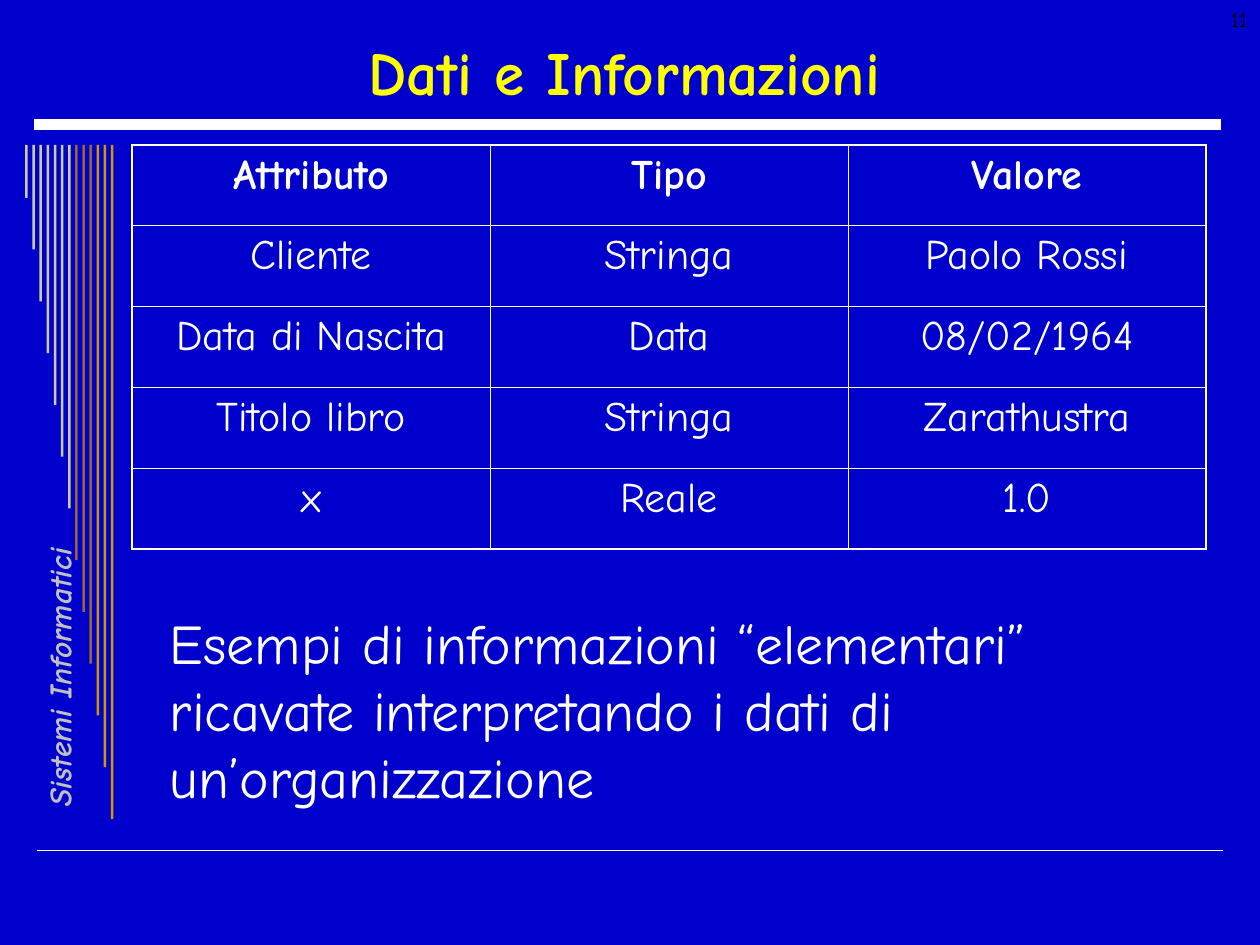
from dataclasses import dataclass

from lxml.etree import SubElement
from pptx import Presentation
from pptx.dml.color import RGBColor
from pptx.enum.shapes import MSO_CONNECTOR as Connector, MSO_SHAPE as Shape
from pptx.enum.text import MSO_ANCHOR as Anchor, PP_ALIGN as Align
from pptx.oxml import parse_xml
from pptx.oxml.ns import nsdecls, qn
from pptx.util import Inches, Pt


@dataclass(frozen=True)
class Theme:
    font: str = "Comic Neue"
    background: str = "0000CC"
    text: str = "FFFFFF"
    title: str = "FFFF00"
    course: str = "C0C0C0"
    number: str = "000000"
    sand: str = "CCCC99"
    brown: str = "996633"
    gold: str = "CC9900"
    title_size: float = 35
    body_size: float = 32
    table_size: float = 24
    course_size: float = 18
    number_size: float = 12
    outer_border: float = 1.08
    inner_border: float = 0.45


THEME = Theme()

ROWS = [
    ("Attributo", "Tipo", "Valore"),
    ("Cliente", "Stringa", "Paolo Rossi"),
    ("Data di Nascita", "Data", "08/02/1964"),
    ("Titolo libro", "Stringa", "Zarathustra"),
    ("x", "Reale", "1.0"),
]


def rgb(color):
    return RGBColor.from_string(color)


def write(frame, text, size, color, align=Align.LEFT, **styles):
    para = frame.paragraphs[0]
    para.alignment = align
    span = para.add_run()
    span.text = text
    formats = {"name": THEME.font, "size": Pt(size), **styles}
    for name, value in formats.items():
        setattr(span.font, name, value)
    span.font.color.rgb = rgb(color)


def add_text(page, bounds, text, size, color, wrap=True, anchor=Anchor.TOP,
             rotation=0, **styles):
    box = page.shapes.add_textbox(*map(Inches, bounds))
    box.rotation = rotation
    box.text_frame.word_wrap = wrap
    box.text_frame.vertical_anchor = anchor
    write(box.text_frame, text, size, color, **styles)


def add_rule(page, left, right, top, weight):
    rule = page.shapes.add_connector(
        Connector.STRAIGHT, *map(Inches, (left, top, right, top)))
    rule.line.color.rgb = rgb(THEME.text)
    rule.line.width = Pt(weight)
    SubElement(rule._element.spPr, qn("a:effectLst"))


def add_stripes(page):
    """Draw the hanging stripes, each one longer than the one to its left."""
    colors = [THEME.sand] * 7 + [THEME.brown] * 3 + [THEME.gold] * 3
    last = len(colors) - 1
    pitch = (0.88 - 0.2) / last
    growth = (5.35 - 0.42) / last
    group = page.shapes.add_group_shape()
    for index, color in enumerate(colors):
        bounds = (0.2 + pitch * index, 1.15, 0.02, 0.42 + growth * index)
        stripe = group.shapes.add_shape(Shape.RECTANGLE, *map(Inches, bounds))
        stripe.shadow.inherit = False
        stripe.fill.solid()
        stripe.fill.fore_color.rgb = rgb(color)
        stripe.line.fill.background()


def set_borders(cell, outer_sides):
    """Give all four sides a line, heavier on the sides in outer_sides."""
    properties = cell._tc.get_or_add_tcPr()
    for position, side in enumerate("LRTB"):
        weight = THEME.outer_border if side in outer_sides else THEME.inner_border
        properties.insert(position, parse_xml(
            f'<a:ln{side} {nsdecls("a")} w="{Pt(weight)}"><a:solidFill>'
            f'<a:srgbClr val="{THEME.text}"/></a:solidFill></a:ln{side}>'))


def add_data_table(page, rows):
    row_count, column_count = len(rows), len(rows[0])
    bounds = (1.05, 1.15, 8.52, 3.21)
    table = page.shapes.add_table(
        row_count, column_count, *map(Inches, bounds)).table
    for r, row in enumerate(rows):
        for c, text in enumerate(row):
            cell = table.cell(r, c)
            cell.fill.background()
            edges = {"L": c == 0, "R": c == column_count - 1,
                     "T": r == 0, "B": r == row_count - 1}
            set_borders(cell, [side for side, outer in edges.items() if outer])
            write(cell.text_frame, text, THEME.table_size, THEME.text,
                  Align.CENTER, bold=r == 0)


def main():
    deck = Presentation()
    deck.slide_width, deck.slide_height = Inches(10), Inches(7.5)
    page = deck.slides.add_slide(deck.slide_layouts[6])
    page.background.fill.solid()
    page.background.fill.fore_color.rgb = rgb(THEME.background)

    add_rule(page, 0.29, 9.71, 6.75, 1)
    add_rule(page, 0.27, 9.69, 0.99, 6)
    add_stripes(page)
    add_text(page, (-0.75, 5.24, 2.28, 0.24), "Sistemi Informatici",
             THEME.course_size, THEME.course, wrap=False, rotation=270,
             bold=True, italic=True)
    add_text(page, (0.35, 0.21, 9.21, 0.71), "Dati e Informazioni",
             THEME.title_size, THEME.title, anchor=Anchor.MIDDLE,
             align=Align.CENTER, bold=True)
    add_data_table(page, ROWS)
    add_text(page, (1.25, 4.78, 8.18, 1.7),
             "Esempi di informazioni “elementari” ricavate interpretando "
             "i dati di un’organizzazione", THEME.body_size, THEME.text)
    add_text(page, (7.67, 0, 2.33, 0.5), "11", THEME.number_size,
             THEME.number, align=Align.RIGHT)
    deck.save("out.pptx")


if __name__ == "__main__":
    main()
